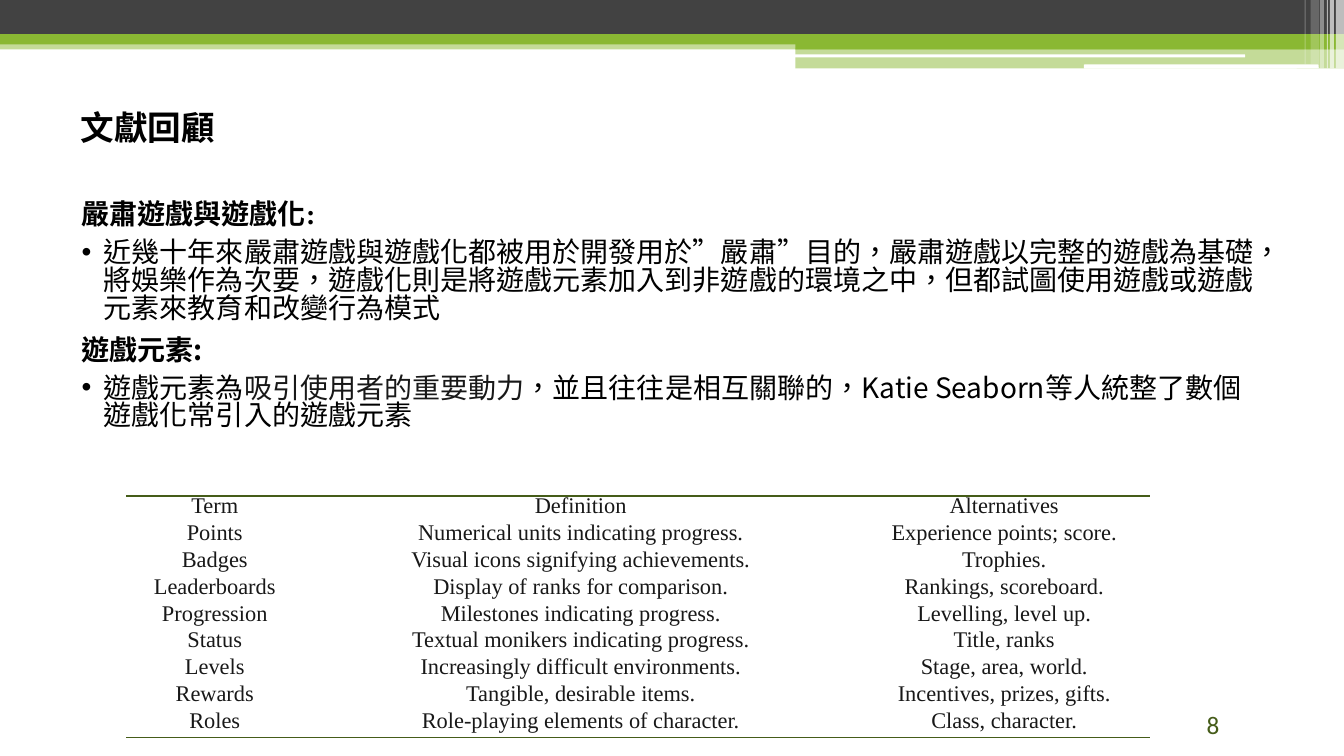
"""Build the literature review slide on serious games and gamification."""
from dataclasses import dataclass
from typing import Optional

from lxml.etree import SubElement
from pptx import Presentation
from pptx.dml.color import RGBColor as Rgb
from pptx.enum.shapes import MSO_SHAPE as Kind
from pptx.enum.text import MSO_ANCHOR as Anchor, PP_ALIGN as Align
from pptx.oxml import parse_xml
from pptx.oxml.ns import nsdecls, qn
from pptx.util import Inches, Pt


@dataclass(frozen=True)
class Theme:
    green: str = "8AB833"
    dark: str = "424242"
    white: str = "FFFFFF"
    black: str = "000000"
    ink: str = "181818"
    moss: str = "455C19"
    main: str = "Calibri"
    asian: str = "Noto Sans CJK SC"
    serif: str = "Times New Roman"
    title: int = 24
    body: int = 20
    page: int = 18
    cell: int = 16


@dataclass(frozen=True)
class Bar:
    left: float
    top: float
    width: float
    height: float
    color: str
    alpha: int = 100
    kind: Kind = Kind.RECTANGLE


@dataclass(frozen=True)
class Span:
    text: str
    font: str
    size: int
    color: str
    bold: bool = False


@dataclass(frozen=True)
class Para:
    spans: tuple[Span, ...]
    gap: int
    bullet: bool = False


LOOK = Theme()
ROUND = Kind.ROUNDED_RECTANGLE
BARS = (
    Bar(0, 0.4, 13.33, 0.09, LOOK.green, 50),
    Bar(0, 0, 13.33, 0.34, LOOK.dark),
    Bar(0, 0.34, 13.33, 0.1, LOOK.green),
    Bar(7.89, 0.39, 5.44, 0.1, LOOK.green),
    Bar(7.89, 0.48, 5.44, 0.2, LOOK.green, 50),
    Bar(7.88, 0.54, 4.47, 0.03, LOOK.white, kind=ROUND),
    Bar(10.75, 0.64, 2.33, 0.04, LOOK.white, kind=ROUND),
    Bar(13.25, 0, 0.08, 0.68, LOOK.white, 65),
    Bar(13.19, 0, 0.04, 0.68, LOOK.white, 65),
    Bar(13.16, 0, 0.01, 0.68, LOOK.white, 60),
    Bar(13.09, 0, 0.04, 0.68, LOOK.white, 40),
    Bar(13, 0, 0.08, 0.64, LOOK.white, 20),
    Bar(12.94, 0, 0.01, 0.64, LOOK.white, 30),
)
ROWS = (
    ("Term", "Definition", "Alternatives"),
    ("Points", "Numerical units indicating progress.", "Experience points; score."),
    ("Badges", "Visual icons signifying achievements.", "Trophies."),
    ("Leaderboards", "Display of ranks for comparison.", "Rankings, scoreboard."),
    ("Progression", "Milestones indicating progress.", "Levelling, level up."),
    ("Status", "Textual monikers indicating progress.", "Title, ranks"),
    ("Levels", "Increasingly difficult environments.", "Stage, area, world."),
    ("Rewards", "Tangible, desirable items.", "Incentives, prizes, gifts."),
    ("Roles", "Role-playing elements of character.", "Class, character."),
)
WIDTHS = (1.76, 5.5, 2.9)
PLAIN = "{2D5ABB26-0587-4C30-8999-92F81FD0307C}"


def words(text: str, font: str = LOOK.asian, color: str = LOOK.black, bold: bool = False) -> Span:
    return Span(text, font, LOOK.body, color, bold)


PARAS = (
    Para((words("嚴肅遊戲與遊戲化", bold=True), words(":", LOOK.serif, bold=True)), 2),
    Para((words("近幾十年來嚴肅遊戲與遊戲化都被用於開發用於”嚴肅”目的，嚴肅遊戲以完整的遊戲為基礎，"
                "將娛樂作為次要，遊戲化則是將遊戲元素加入到非遊戲的環境之中，但都試圖使用遊戲或遊戲"
                "元素來教育和改變行為模式", LOOK.main),), 5, True),
    Para((words("遊戲元素:", bold=True),), 5),
    Para((words("遊戲元素為"), words("吸引使用者的重要動力", color=LOOK.ink),
          words("，並且往往是相互關聯的，Katie Seaborn等人統整了數個遊戲化常引入的遊戲元素")), 2, True),
)


def style(run, span: Span) -> None:
    font = run.font
    font.size, font.bold, font.name = Pt(span.size), span.bold, span.font
    font.color.rgb = Rgb.from_string(span.color)
    props = run._r.get_or_add_rPr()
    props.set("lang", "zh-TW")
    SubElement(props, qn("a:ea")).set("typeface", LOOK.asian)


def write(para, spans: tuple[Span, ...]) -> None:
    for span in spans:
        run = para.add_run()
        run.text = span.text
        style(run, span)


def place(shape, left: float, top: float, width: float, height: float) -> None:
    shape.left, shape.top = Inches(left), Inches(top)
    shape.width, shape.height = Inches(width), Inches(height)


def inset(frame, side: float, edge: float) -> None:
    frame.word_wrap = True
    frame.margin_left = frame.margin_right = Inches(side)
    frame.margin_top = frame.margin_bottom = Inches(edge)


def draw_bar(slide, bar: Bar) -> None:
    shape = slide.shapes.add_shape(bar.kind, 0, 0, 0, 0)
    place(shape, bar.left, bar.top, bar.width, bar.height)
    shape.shadow.inherit = False
    shape.line.fill.background()
    shape.fill.solid()
    shape.fill.fore_color.rgb = Rgb.from_string(bar.color)
    if bar.alpha < 100:
        tint = shape.fill._xPr.find(".//" + qn("a:srgbClr"))
        SubElement(tint, qn("a:alpha")).set("val", str(bar.alpha * 1000))


def draw_title(slide) -> None:
    title = slide.shapes.title
    place(title, 0, 0.68, 12.67, 1.17)
    frame = title.text_frame
    inset(frame, 0.13, 0.07)
    frame.vertical_anchor = Anchor.MIDDLE
    para = frame.paragraphs[0]
    para.alignment = Align.LEFT
    para._p.get_or_add_pPr().set("indent", str(Inches(0.67)))
    write(para, (Span("文獻回顧", LOOK.main, LOOK.title, LOOK.black, True),))


def draw_body(slide) -> None:
    box = slide.shapes.add_textbox(Inches(0.68), Inches(1.94), Inches(12), Inches(5.28))
    frame = box.text_frame
    inset(frame, 0.13, 0.07)
    for at, item in enumerate(PARAS):
        para = frame.add_paragraph() if at else frame.paragraphs[0]
        para.line_spacing = 0.83
        para.space_before = para.space_after = Pt(item.gap)
        if item.bullet:
            props = para._p.get_or_add_pPr()
            props.set("marL", str(Inches(0.22)))
            props.set("indent", str(-Inches(0.22)))
            tint = SubElement(props, qn("a:buClr"))
            SubElement(tint, qn("a:srgbClr")).set("val", LOOK.black)
            SubElement(props, qn("a:buFont")).set("typeface", "Arial")
            SubElement(props, qn("a:buChar")).set("char", "•")
        write(para, item.spans)


def draw_page(slide) -> None:
    box = slide.shapes.add_textbox(Inches(11.87), Inches(6.99), Inches(1.29), Inches(0.4))
    box.text_frame.vertical_anchor = Anchor.BOTTOM
    write(box.text_frame.paragraphs[0], (Span("8", LOOK.main, LOOK.page, LOOK.moss),))


def fill_cell(cell, text: str, side: float, edge: Optional[str]) -> None:
    cell.fill.background()
    cell.vertical_anchor = Anchor.MIDDLE
    cell.margin_left = cell.margin_right = Inches(side)
    cell.margin_top = cell.margin_bottom = 0
    para = cell.text_frame.paragraphs[0]
    para.alignment, para.line_spacing = Align.CENTER, Pt(13)
    write(para, (Span(text, LOOK.serif, LOOK.cell, LOOK.ink),))
    if edge:
        cell._tc.get_or_add_tcPr().insert(0, parse_xml(
            f'<a:{edge} {nsdecls("a")} w="{Pt(1)}"><a:solidFill>'
            f'<a:srgbClr val="{LOOK.moss}"/></a:solidFill></a:{edge}>'))


def draw_table(slide) -> None:
    count = len(ROWS)
    frame = slide.shapes.add_table(count, len(WIDTHS), Inches(1.25), Inches(4.92),
                                   Inches(sum(WIDTHS)), Inches(2.4))
    table = frame.table
    table.first_row = table.horz_banding = False
    table._tbl.tblPr.find(qn("a:tableStyleId")).text = PLAIN
    for col, width in zip(table.columns, WIDTHS):
        col.width = Inches(width)
    edges = {0: "lnT", count - 1: "lnB"}
    for y, row in enumerate(ROWS):
        for x, text in enumerate(row):
            fill_cell(table.cell(y, x), text, 0.01 if x == 2 else 0, edges.get(y))


def main() -> None:
    deck = Presentation()
    deck.slide_width, deck.slide_height = Inches(13.33), Inches(7.5)
    slide = deck.slides.add_slide(deck.slide_layouts[5])
    for bar in BARS:
        draw_bar(slide, bar)
    for draw in (draw_title, draw_body, draw_page, draw_table):
        draw(slide)
    deck.save("out.pptx")


if __name__ == "__main__":
    main()
